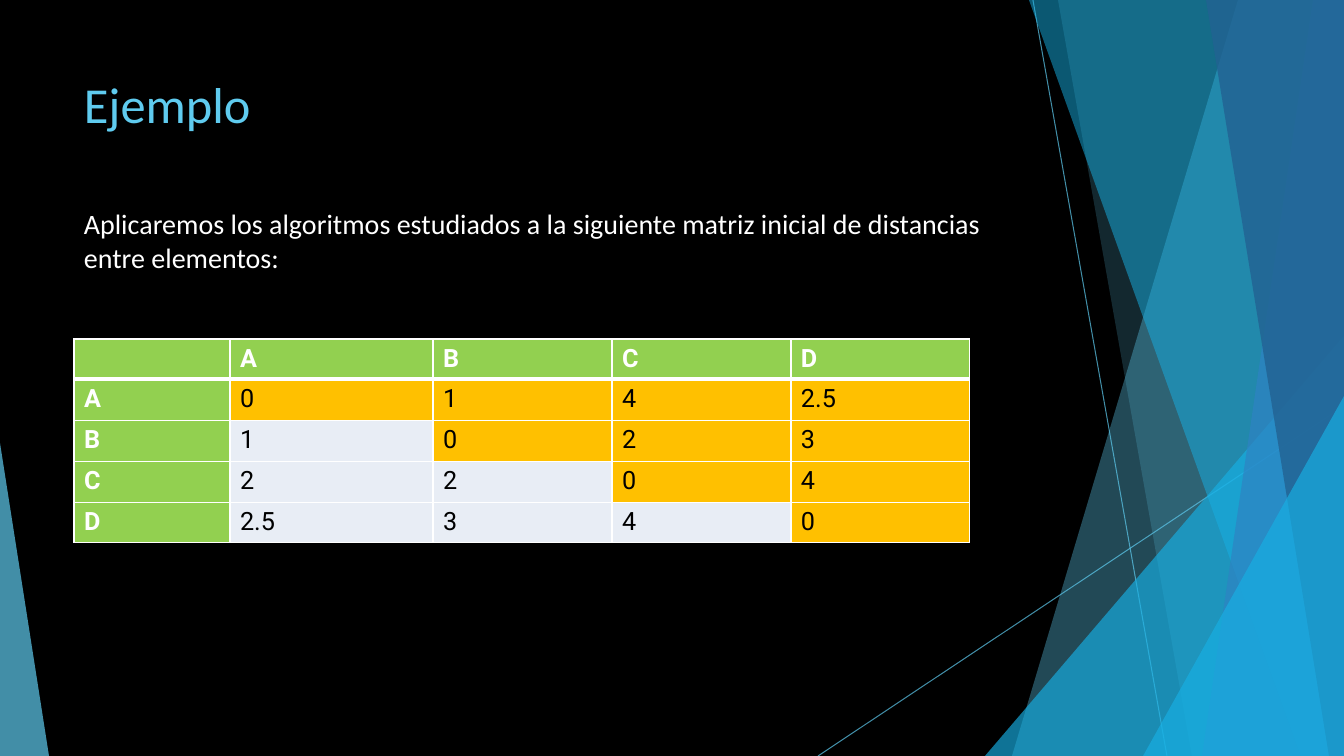
from lxml.etree import SubElement
from pptx import Presentation
from pptx.dml.color import RGBColor
from pptx.enum.shapes import MSO_CONNECTOR, MSO_SHAPE
from pptx.oxml.ns import qn
from pptx.util import Emu, Pt

EMU_PER_PX = 914400 / 100.8
SLIDE_W, SLIDE_H = 1344, 756

CYAN, SKY, BLUE, NAVY = "5FCBEF", "17B0E4", "2E83C3", "226292"
WHITE, BLACK = "FFFFFF", "000000"
GREEN, AMBER, PALE = "92D050", "FFC000", "E8EDF5"

LABELS = ["A", "B", "C", "D"]
DISTANCES = [
    ["0", "1", "4", "2.5"],
    ["1", "0", "2", "3"],
    ["2", "2", "0", "4"],
    ["2.5", "3", "4", "0"],
]


def px(n):
    return Emu(round(n * EMU_PER_PX))


def rgb(color):
    return RGBColor.from_string(color)


def set_alpha(element, percent):
    for clr in element.iter(qn("a:srgbClr")):
        SubElement(clr, qn("a:alpha"), val=str(percent * 1000))


def style_run(r, size, font, color, bold=False):
    r.font.size = Pt(size)
    r.font.name = font
    r.font.bold = bold
    r.font.color.rgb = rgb(color)


# Background decoration
def paint(sp, color, alpha):
    sp.shadow.inherit = False
    sp.fill.solid()
    sp.fill.fore_color.rgb = rgb(color)
    sp.line.fill.background()
    set_alpha(sp._element.spPr, alpha)


def add_ray(slide, x1, y1, x2, y2):
    ray = slide.shapes.add_connector(
        MSO_CONNECTOR.STRAIGHT, px(x1), px(y1), px(x2), px(y2))
    ray.line.color.rgb = rgb(CYAN)
    ray.line.width = Pt(0.75)
    spPr = ray._element.spPr
    set_alpha(spPr, 70)
    SubElement(spPr, qn("a:effectLst"))


def add_facet(slide, top_x, bottom_x, color, alpha):
    """Full-height panel between a slanted left edge and the slide's right edge."""
    builder = slide.shapes.build_freeform(top_x, 0, scale=EMU_PER_PX)
    builder.add_line_segments(
        [(SLIDE_W, 0), (SLIDE_W, SLIDE_H), (bottom_x, SLIDE_H)], close=True)
    paint(builder.convert_to_shape(), color, alpha)


def add_corner(slide, x, y, w, apex, color, alpha):
    """Triangle standing on the slide's bottom edge."""
    sp = slide.shapes.add_shape(
        MSO_SHAPE.ISOSCELES_TRIANGLE, px(x), px(y), px(w), px(SLIDE_H - y))
    sp.adjustments[0] = apex
    paint(sp, color, alpha)


def add_decoration(slide):
    add_ray(slide, 1033, 0, 1167, SLIDE_H)
    add_ray(slide, SLIDE_W, 406, 818, SLIDE_H)
    add_facet(slide, 1238, 1012, CYAN, 36)
    add_facet(slide, 1058, 1192, CYAN, 20)
    add_corner(slide, 985, 336, 359, 1, SKY, 66)
    add_facet(slide, 1029, 1301, SKY, 50)
    add_facet(slide, 1313, 1202, BLUE, 70)
    add_facet(slide, 1206, 1329, NAVY, 80)
    add_corner(slide, 1143, 396, 201, 1, SKY, 66)
    add_corner(slide, 0, 443, 49, 0, CYAN, 70)


# Title and introduction
def add_text(slide, x, y, w, h, text, size, color):
    tf = slide.shapes.add_textbox(px(x), px(y), px(w), px(h)).text_frame
    tf.word_wrap = True
    tf.text = text
    style_run(tf.paragraphs[0].runs[0], size, "Calibri", color)


# Distance matrix
def set_borders(cell, top, bottom):
    tcPr = cell._tc.get_or_add_tcPr()
    for side, width in (("L", 1), ("R", 1), ("T", top), ("B", bottom)):
        ln = SubElement(tcPr, qn(f"a:ln{side}"), w=str(Pt(width)))
        fill = SubElement(ln, qn("a:solidFill"))
        SubElement(fill, qn("a:srgbClr"), val=WHITE)


def add_matrix(slide, x, y, col_widths, row_heights):
    rows = [["", *LABELS]]
    rows += [[label, *values] for label, values in zip(LABELS, DISTANCES)]
    table = slide.shapes.add_table(
        len(rows), len(col_widths), px(x), px(y),
        px(sum(col_widths)), px(sum(row_heights))).table
    table.horz_banding = False
    for column, width in zip(table.columns, col_widths):
        column.width = px(width)
    for i, (row, height) in enumerate(zip(rows, row_heights)):
        table.rows[i].height = px(height)
        for j, text in enumerate(row):
            cell = table.cell(i, j)
            heading = i == 0 or j == 0
            set_borders(cell, 3 if i == 1 else 1, 3 if i == 0 else 1)
            cell.fill.solid()
            cell.fill.fore_color.rgb = rgb(
                GREEN if heading else AMBER if j >= i else PALE)
            if text:
                cell.text_frame.text = text
                style_run(cell.text_frame.paragraphs[0].runs[0], 18, "Roboto",
                          WHITE if heading else BLACK, heading)


def add_example_slide(prs):
    slide = prs.slides.add_slide(prs.slide_layouts[6])
    slide.background.fill.solid()
    slide.background.fill.fore_color.rgb = rgb(BLACK)
    add_decoration(slide)
    add_text(slide, 74, 68, 948, 145, "Ejemplo", 36, CYAN)
    add_text(slide, 74, 202, 973, 120,
             "Aplicaremos los algoritmos estudiados a la siguiente matriz "
             "inicial de distancias entre elementos:", 20, WHITE)
    add_matrix(slide, 74, 339, [156, 203, 179, 179, 179], [40, 41, 41, 41, 39])


def main():
    prs = Presentation()
    prs.slide_width, prs.slide_height = px(SLIDE_W), px(SLIDE_H)
    add_example_slide(prs)
    prs.save("out.pptx")


if __name__ == "__main__":
    main()
